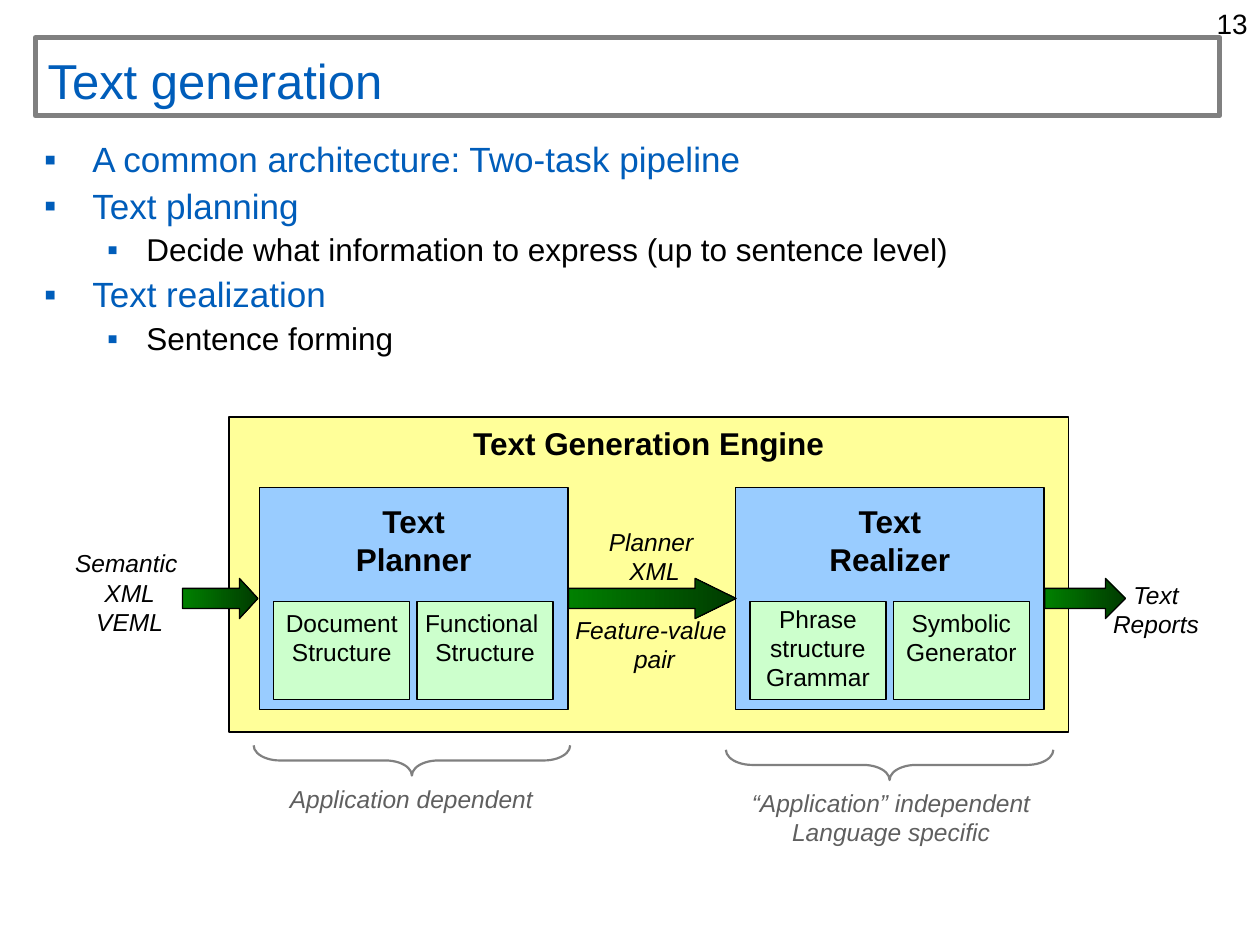
from lxml.etree import SubElement
from pptx import Presentation
from pptx.dml.color import RGBColor
from pptx.enum.shapes import MSO_SHAPE
from pptx.enum.text import MSO_ANCHOR, MSO_AUTO_SIZE, PP_ALIGN
from pptx.oxml.ns import qn
from pptx.util import Cm, Pt

COLORS = {
    "blue": "005DBA", "black": "000000", "gray": "808080", "caption": "5F5F5F",
    "engine": "FFFF99", "stage": "99CCFF", "module": "CCFFCC",
    "arrow_start": "008000", "arrow_end": "003B00",
}
RGB = {name: RGBColor.from_string(value) for name, value in COLORS.items()}


def write(shape, text, size, color="black", bold=False, italic=False,
          align=PP_ALIGN.CENTER, side=0.25, top=0.13):
    frame = shape.text_frame
    frame.text = text
    frame.word_wrap = True
    frame.vertical_anchor = MSO_ANCHOR.TOP
    frame.margin_left = frame.margin_right = Cm(side)
    frame.margin_top, frame.margin_bottom = Cm(top), Cm(0.13)
    for paragraph in frame.paragraphs:
        paragraph.alignment = align
        for run in paragraph.runs:
            run.font.name, run.font.size = "Arial", Pt(size)
            run.font.bold, run.font.italic = bold, italic
            run.font.color.rgb = RGB[color]


def draw(kind, left, top, width, height, fill=None, line="black", weight=0.75):
    shape = slide.shapes.add_shape(kind, Cm(left), Cm(top), Cm(width), Cm(height))
    shape.shadow.inherit = False
    if fill:
        shape.fill.solid()
        shape.fill.fore_color.rgb = RGB[fill]
    else:
        shape.fill.background()
    shape.line.color.rgb = RGB[line]
    shape.line.width = Pt(weight)
    return shape


prs = Presentation()
prs.slide_width, prs.slide_height = Cm(25.4), Cm(19.05)
slide = prs.slides.add_slide(prs.slide_layouts[1])

# Page number
page_number = slide.shapes.add_textbox(Cm(23.75), Cm(0), Cm(1.65), Cm(0.94))
write(page_number, "13", 16, align=PP_ALIGN.RIGHT)

# Title
title = slide.shapes.title
title.left, title.top, title.width, title.height = Cm(0.71), Cm(0.76), Cm(23.88), Cm(1.57)
write(title, "Text generation", 28, "blue", align=PP_ALIGN.LEFT)
title.text_frame.vertical_anchor = MSO_ANCHOR.BOTTOM
title.text_frame.auto_size = MSO_AUTO_SIZE.NONE
title.line.color.rgb = RGB["gray"]
title.line.width = Pt(3)

# Bullet list
outline = [
    (0, "A common architecture: Two-task pipeline"),
    (0, "Text planning"),
    (1, "Decide what information to express (up to sentence level)"),
    (0, "Text realization"),
    (1, "Sentence forming"),
]
# level: (left margin, first-line indent, size, space before, color)
levels = [(0.97, -0.97, 20, 5, "blue"), (2.06, -0.79, 18, 4.5, "black")]
body = slide.placeholders[1]
body.left, body.top, body.width, body.height = Cm(0.64), Cm(2.74), Cm(23.93), Cm(4.7)
write(body, "\n".join(text for _, text in outline), 20, align=PP_ALIGN.LEFT)
body.text_frame.auto_size = MSO_AUTO_SIZE.NONE
for index, (level, _) in enumerate(outline):
    margin, indent, size, before, color = levels[level]
    paragraph = body.text_frame.paragraphs[index]
    paragraph.level = level
    properties = paragraph._p.get_or_add_pPr()
    properties.set("marL", str(Cm(margin)))
    properties.set("indent", str(Cm(indent)))
    bullet_color = SubElement(properties, qn("a:buClr"))
    SubElement(bullet_color, qn("a:srgbClr"), val=COLORS["blue"])
    SubElement(properties, qn("a:buChar"), char="▪")
    paragraph.line_spacing = 0.9
    paragraph.space_before = Pt(before if index else 0)
    paragraph.runs[0].font.size = Pt(size)
    paragraph.runs[0].font.color.rgb = RGB[color]

# Engine with its two stages, each holding two modules
engine = draw(MSO_SHAPE.RECTANGLE, 4.62, 8.41, 16.92, 6.35, "engine")
write(engine, "Text Generation Engine", 18, bold=True)

stages = [
    (5.23, "Text\nPlanner",
     [("Document\nStructure", 0.13), ("Functional \nStructure", 0.13)]),
    (14.83, "Text\nRealizer",
     [("Phrase structure\nGrammar", 0.05), ("Symbolic\nGenerator", 0.13)]),
]
for left, name, modules in stages:
    stage = draw(MSO_SHAPE.RECTANGLE, left, 9.83, 6.22, 4.47, "stage")
    write(stage, name, 18, bold=True, top=0.3)
    for column, (text, inset) in enumerate(modules):
        module = draw(MSO_SHAPE.RECTANGLE, left + 0.29 + 2.89 * column, 12.12,
                      2.74, 1.98, "module")
        write(module, text, 14, side=0, top=inset)

# Flow arrows: left, width, head length relative to height
for left, width, head in [(3.68, 1.52, 0.46), (11.46, 3.38, 1.02), (21.06, 1.63, 0.5)]:
    arrow = draw(MSO_SHAPE.RIGHT_ARROW, left, 11.66, width, 0.81)
    arrow.adjustments[0], arrow.adjustments[1] = 0.5, head
    arrow.fill.gradient()
    arrow.fill.gradient_angle = 0
    for stop, color in zip(arrow.fill.gradient_stops, ("arrow_start", "arrow_end")):
        stop.color.rgb = RGB[color]

# Braces under the stages: left, top, length
for left, top, length in [(8, 12.14, 6.38), (17.63, 12.12, 6.6)]:
    brace = draw(MSO_SHAPE.LEFT_BRACE, left, top, 0.61, length, line="gray", weight=1.25)
    brace.rotation = 270
    brace.adjustments[0] = 0.87

# Data labels and captions
labels = [
    (0.99, 10.92, 3.25, 1.88, "Semantic \nXML\nVEML", "black"),
    (10.59, 10.49, 5.21, 1.4, "Planner \nXML", "black"),
    (10.59, 12.27, 5.21, 1.4, "Feature-value \npair", "black"),
    (21.87, 11.56, 2.87, 1.4, "Text\nReports", "black"),
    (4.88, 15.67, 6.83, 0.89, "Application dependent", "caption"),
    (14.55, 15.75, 6.83, 1.4, "“Application” independent\nLanguage specific", "caption"),
]
for left, top, width, height, text, color in labels:
    label = slide.shapes.add_textbox(Cm(left), Cm(top), Cm(width), Cm(height))
    write(label, text, 14, color, italic=True)

prs.save("out.pptx")
